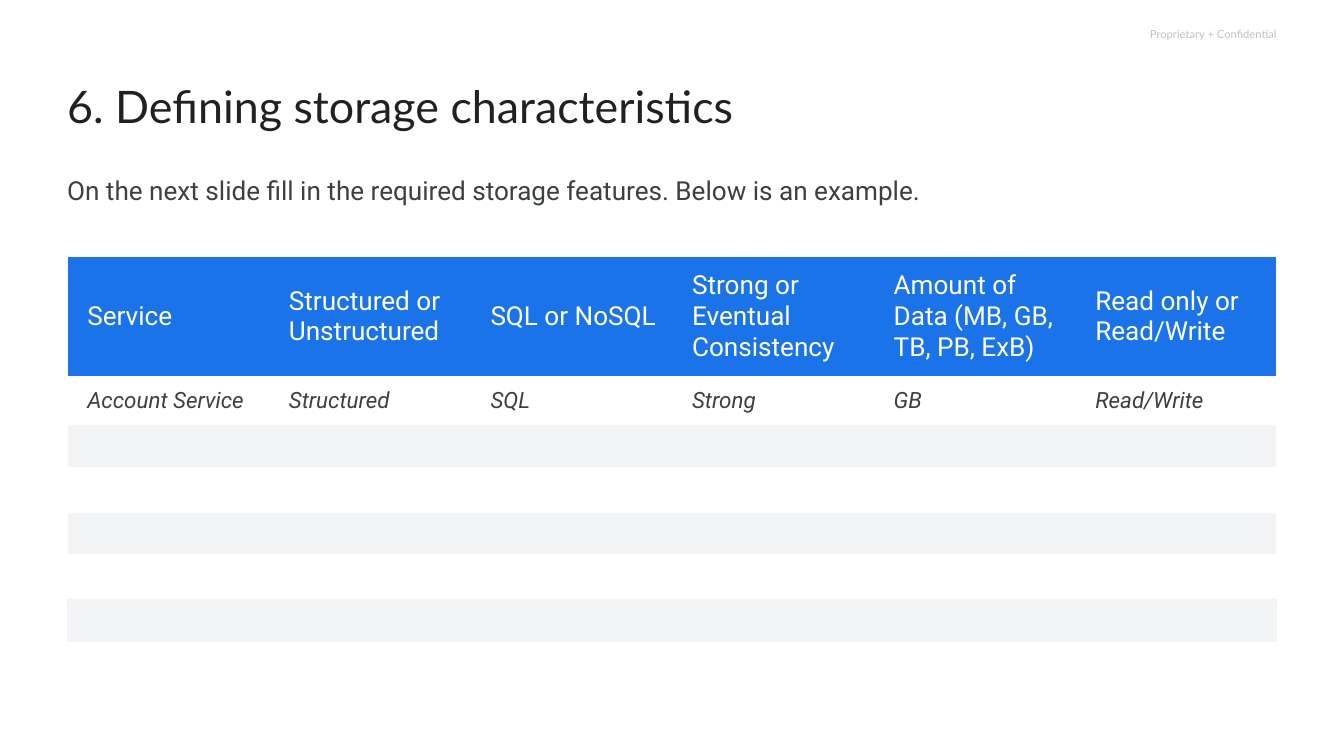
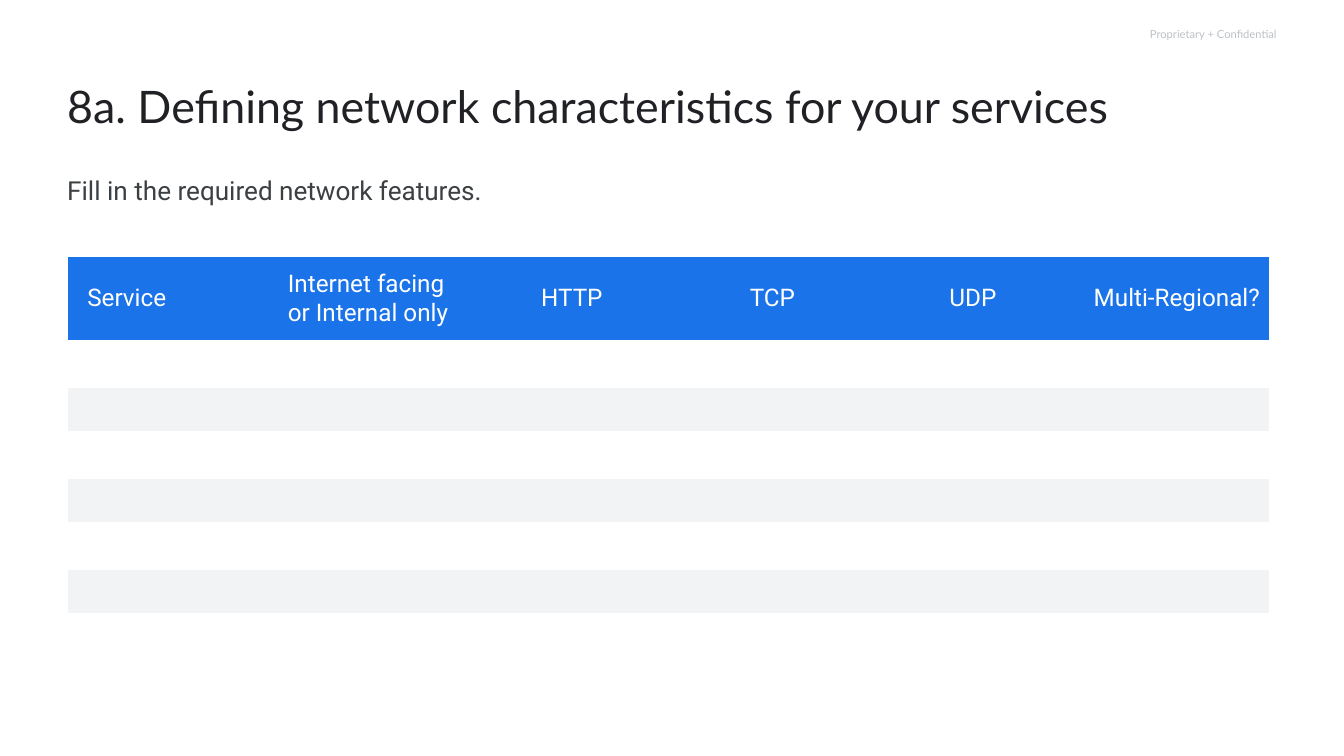
"""Build two worksheet slides on storage and network characteristics."""
from lxml.etree import SubElement as Sub
from pptx import Presentation
from pptx.dml.color import RGBColor
from pptx.enum.text import MSO_ANCHOR as Anchor, MSO_AUTO_SIZE as Fit, PP_ALIGN as Align
from pptx.oxml.ns import qn
from pptx.util import Cm, Pt

BLUE = RGBColor(0x1A, 0x73, 0xE8)
WHITE = RGBColor(0xFF, 0xFF, 0xFF)
BAND = RGBColor(0xF1, 0xF3, 0xF4)
INK = RGBColor(0x20, 0x21, 0x24)
TEXT = RGBColor(0x3C, 0x40, 0x43)
PALE = RGBColor(0xBD, 0xC1, 0xC6)
LEFT, WIDE = Cm(2.54), Cm(45.72)
HEAD, BODY = "Lato", "Roboto"


def write(frame, words, size, color, face=BODY, align=Align.LEFT, space=None, slant=None):
    para = frame.paragraphs[0]
    para.alignment = align
    para.line_spacing = space
    run = para.add_run()
    run.text = words
    font = run.font
    font.name, font.size, font.italic = face, Pt(size), slant
    font.color.rgb = color


def inset(frame, left=0, top=0, right=0, bottom=0):
    frame.margin_left, frame.margin_top = Cm(left), Cm(top)
    frame.margin_right, frame.margin_bottom = Cm(right), Cm(bottom)


def add_box(slide, left, top, width, height, anchor=Anchor.TOP):
    frame = slide.shapes.add_textbox(left, top, width, height).text_frame
    frame.word_wrap = True
    frame.vertical_anchor = anchor
    inset(frame)
    return frame


def add_page(deck, title, intro, width=WIDE):
    slide = deck.slides.add_slide(deck.slide_layouts[5])
    label = add_box(slide, Cm(37.57), 0, Cm(10.69), Cm(2.57), Anchor.MIDDLE)
    write(label, "Proprietary + Confidential", 12, PALE, HEAD, Align.RIGHT)
    shape = slide.shapes.title
    shape.left, shape.top, shape.width, shape.height = LEFT, Cm(2.57), width, Cm(5.56)
    frame = shape.text_frame
    frame.auto_size = Fit.NONE
    frame.word_wrap = True
    frame.vertical_anchor = Anchor.TOP
    inset(frame, right=0.51)
    write(frame, title, 48, INK, HEAD, space=1.2)
    write(add_box(slide, LEFT, Cm(6.43), WIDE, Cm(1.55)), intro, 28, TEXT, space=1.15)
    return slide


def set_edges(cell, sides):
    props = cell._tc.get_or_add_tcPr()
    for side in "LRTB":
        line = Sub(props, qn(f"a:ln{side}"), w=str(Pt(3)))
        if side in sides:
            fill = Sub(line, qn("a:solidFill"))
            Sub(fill, qn("a:srgbClr"), val=str(WHITE))
        else:
            Sub(line, qn("a:noFill"))


def add_grid(slide, width, heights, bare=False):
    """Add a banded six-column grid, with no lines on its last row if bare."""
    rows, cols = len(heights), 6
    grid = slide.shapes.add_table(
        rows, cols, LEFT, Cm(9.68), Cm(width * cols), Cm(sum(heights))).table
    grid.first_row = grid.horz_banding = False
    for col in grid.columns:
        col.width = Cm(width)
    for i, height in enumerate(heights):
        grid.rows[i].height = Cm(height)
        level = "TB"
        if bare and i >= rows - 2:
            level = "T" if i == rows - 2 else ""
        for j in range(cols):
            cell = grid.cell(i, j)
            ends = {0: "L", cols - 1: "R"}.get(j, "") if level else ""
            set_edges(cell, level + ends)
            if i % 2:
                cell.fill.background()
            else:
                cell.fill.solid()
                cell.fill.fore_color.rgb = BAND if i else BLUE
    return grid


def fill_head(grid, names, size, first=6):
    """Write the header row, centred from column first on."""
    for j, name in enumerate(names):
        cell = grid.cell(0, j)
        cell.vertical_anchor = Anchor.MIDDLE
        inset(cell, 0.76, 0.51, 0.25 if j == 5 and first < 6 else 0.51, 0.51)
        align = Align.CENTER if j >= first else Align.LEFT
        write(cell.text_frame, name, size, WHITE, align=align)


def fill_row(grid, row, words):
    for j, word in enumerate(words):
        cell = grid.cell(row, j)
        inset(cell, 0.76, 0.38, 0.51, 0.38)
        write(cell.text_frame, word, 24, TEXT, slant=True)


def main():
    deck = Presentation()
    deck.slide_width, deck.slide_height = Cm(50.8), Cm(28.58)

    store = add_page(
        deck, "6. Defining storage characteristics",
        "On the next slide fill in the required storage features. Below is an example.",
        Cm(30.33))
    grid = add_grid(store, 7.62, [4.47, 1.75] + [1.65] * 5, bare=True)
    fill_head(grid, ["Service", "Structured or Unstructured", "SQL or NoSQL",
                     "Strong or Eventual Consistency",
                     "Amount of Data (MB, GB, TB, PB, ExB)",
                     "Read only or Read/Write"], 28)
    fill_row(grid, 1, ["Account Service", "Structured", "SQL", "Strong", "GB", "Read/Write"])

    net = add_page(deck, "8a. Defining network characteristics for your services",
                   "Fill in the required network features.")
    grid = add_grid(net, 7.58, [3.17] + [1.72] * 6)
    fill_head(grid, ["Service", "Internet facing or Internal only", "HTTP", "TCP", "UDP",
                     "Multi-Regional?"], 26, first=2)
    deck.save("out.pptx")


if __name__ == "__main__":
    main()
